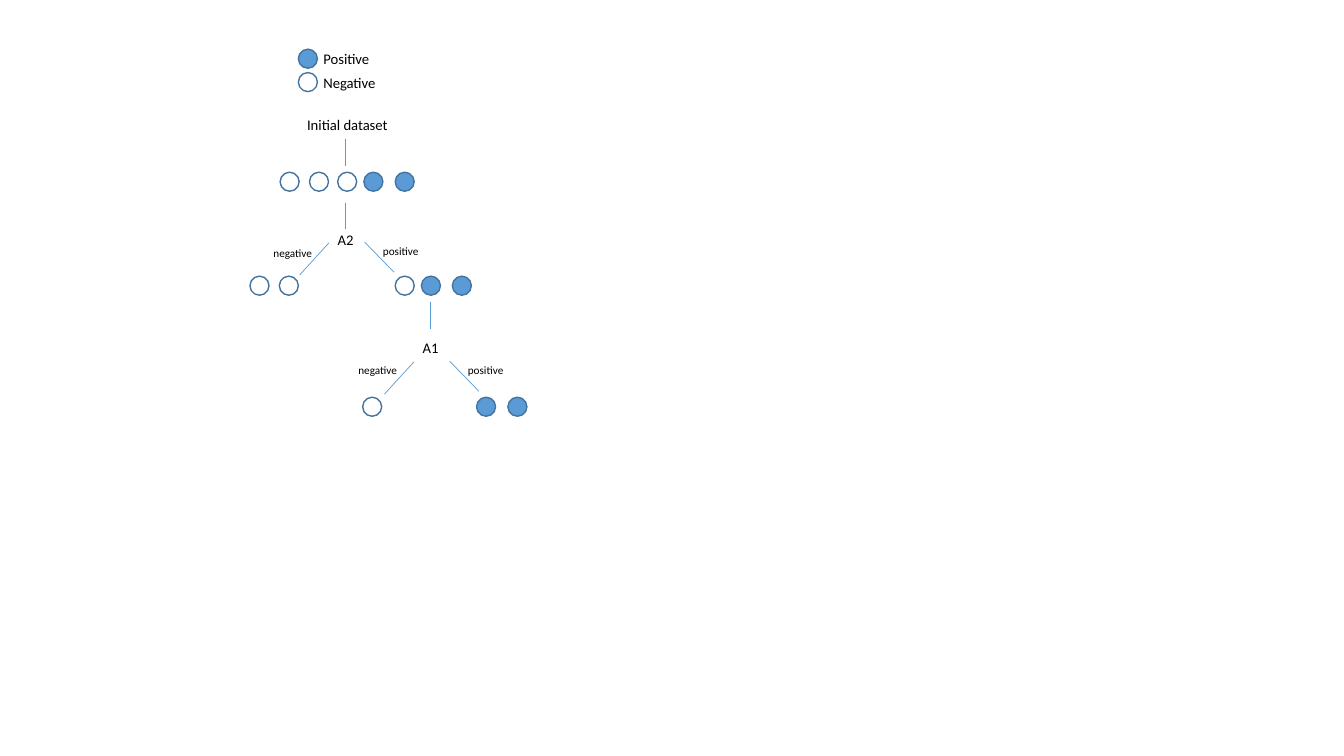
from lxml.etree import SubElement
from pptx import Presentation
from pptx.dml.color import RGBColor
from pptx.enum.shapes import MSO_CONNECTOR, MSO_SHAPE
from pptx.enum.text import MSO_AUTO_SIZE, PP_ALIGN
from pptx.oxml.ns import qn
from pptx.util import Cm, Pt

BLUE = RGBColor(0x5B, 0x9B, 0xD5)
DARK_BLUE = RGBColor(0x43, 0x73, 0x9E)
BLACK = RGBColor(0, 0, 0)
DOT = 0.48

prs = Presentation()
prs.slide_width, prs.slide_height = Cm(33.87), Cm(19.05)
s = prs.slides.add_slide(prs.slide_layouts[6])


def add_text(text, x, y, w, h=0.72, size=10.5, align=PP_ALIGN.LEFT):
    """Add a one-line text box, measured in centimetres."""
    tf = s.shapes.add_textbox(Cm(x), Cm(y), Cm(w), Cm(h)).text_frame
    tf.word_wrap = True
    tf.auto_size = MSO_AUTO_SIZE.SHAPE_TO_FIT_TEXT
    if align == PP_ALIGN.LEFT:
        tf.margin_right = 0
    p = tf.paragraphs[0]
    p.alignment = align
    r = p.add_run()
    r.text = text
    r.font.name, r.font.size = "Calibri", Pt(size)
    r.font.color.rgb = BLACK


def add_line(x1, y1, x2, y2):
    """Add a thin branch line, measured in centimetres."""
    sp = s.shapes.add_connector(MSO_CONNECTOR.STRAIGHT, Cm(x1), Cm(y1), Cm(x2), Cm(y2))
    sp.line.color.rgb, sp.line.width = BLUE, Pt(0.5)
    SubElement(sp._element.spPr, qn("a:effectLst"))


# Samples: top, lefts of the negative dots, lefts of the positive dots
samples = [
    (1.24, [], [7.52]),
    (1.83, [7.52], []),
    (4.34, [7.06, 7.8, 8.51], [9.17, 9.96]),
    (6.96, [6.3, 7.04, 9.96], [10.62, 11.4]),
    (10.01, [9.14], [12.01, 12.8]),
]
for y, negatives, positives in samples:
    for x in negatives + positives:
        sp = s.shapes.add_shape(MSO_SHAPE.OVAL, Cm(x), Cm(y), Cm(DOT), Cm(DOT))
        sp.shadow.inherit = False
        sp.line.color.rgb, sp.line.width = DARK_BLUE, Pt(1)
        if x in positives:
            sp.fill.solid()
            sp.fill.fore_color.rgb = BLUE
        else:
            sp.fill.background()

# Legend and root
add_text("Positive", 7.9, 1.12, 1.8)
add_text("Negative", 7.9, 1.73, 2.06)
add_text("Initial dataset", 7.49, 2.79, 2.69)

# Stems above the root samples and above each test
for x, y in [(8.71, 3.51), (8.71, 5.11), (10.85, 7.62)]:
    add_line(x, y, x, y + 0.67)

# Tests: name, centre, top, fork top, tops of the negative and positive labels
tests = [
    ("A2", 8.71, 5.69, 6.1, 6.07, 6.02),
    ("A1", 10.85, 8.41, 9.1, 9.04, 9.04),
]
for name, x, y, fork, negative_y, positive_y in tests:
    add_text(name, x - 0.56, y, 1.12, align=PP_ALIGN.CENTER)
    add_line(x - 0.42, fork + 0.02, x - 1.16, fork + 0.83)
    add_line(x + 0.48, fork, x + 1.22, fork + 0.76)
    add_text("negative", x - 2.07, negative_y, 1.52, h=0.6, size=8)
    add_text("positive", x + 0.69, positive_y, 1.42, h=0.6, size=8)

prs.save("out.pptx")
